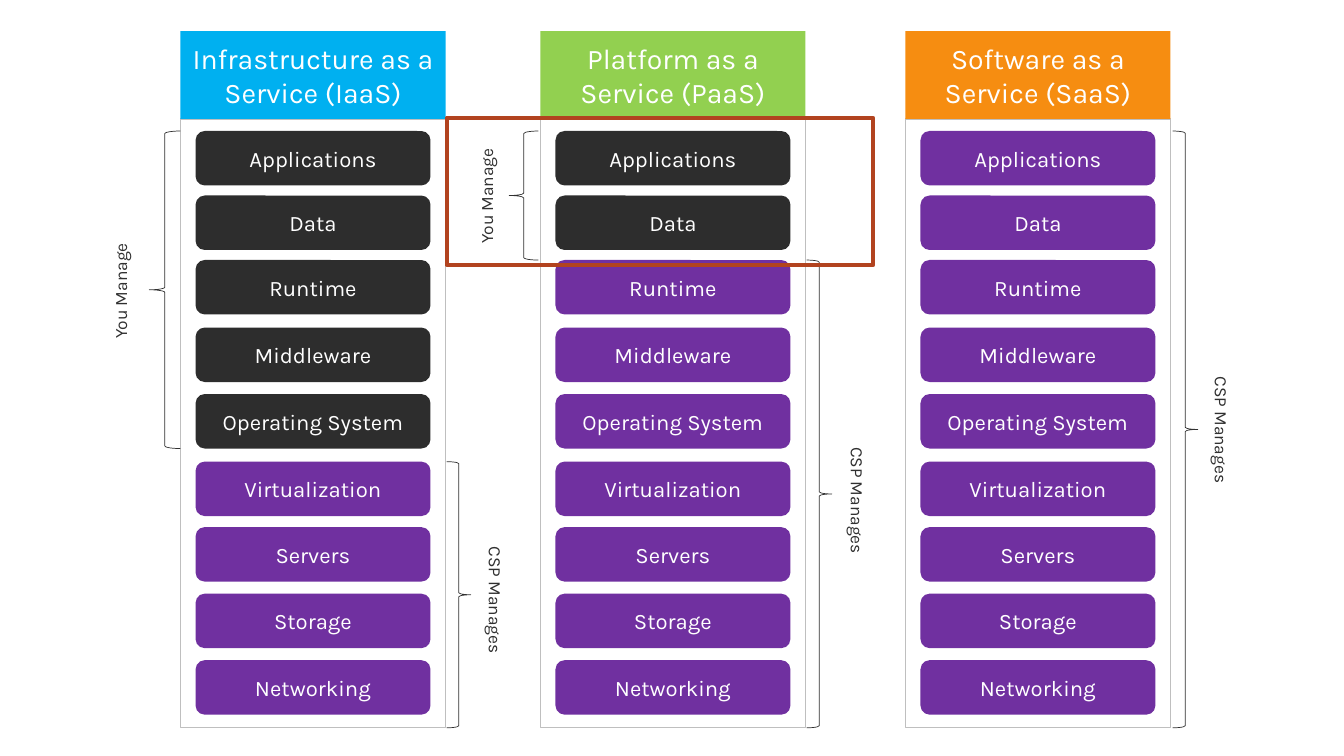
from pptx import Presentation
from pptx.dml.color import RGBColor
from pptx.enum.shapes import MSO_SHAPE
from pptx.enum.text import MSO_ANCHOR, PP_ALIGN
from pptx.util import Inches, Pt

RECT = MSO_SHAPE.RECTANGLE
ROUNDED = MSO_SHAPE.ROUNDED_RECTANGLE
BRACE = MSO_SHAPE.LEFT_BRACE
CENTER = PP_ALIGN.CENTER
TOP, MIDDLE = MSO_ANCHOR.TOP, MSO_ANCHOR.MIDDLE

FONT = "Karla"
COLORS = {
    "iaas": "00B0F0", "paas": "92D050", "saas": "F68D11",
    "customer": "2D2D2D", "provider": "7030A0",
    "white": "FFFFFF", "ink": "303030", "frame": "BFBFBF", "highlight": "B2431F",
}

COLUMN_TOP, COLUMN_W, COLUMN_H = 0.31, 2.63, 6.91
HEADER_H = 0.87
LAYER_W, LAYER_H = 2.33, 0.54
LABEL_W, LABEL_H = 0.41, 2.11

# Each layer with its distance below the top of the column
LAYERS = [
    ("Applications", 0.99), ("Data", 1.63), ("Runtime", 2.27),
    ("Middleware", 2.94), ("Operating System", 3.6), ("Virtualization", 4.27),
    ("Servers", 4.92), ("Storage", 5.58), ("Networking", 6.24),
]

# Left edge, title, header colour, number of layers the customer manages
COLUMNS = [
    (1.79, "Infrastructure as a Service (IaaS)", "iaas", 5),
    (5.36, "Platform as a Service (PaaS)", "paas", 2),
    (8.98, "Software as a Service (SaaS)", "saas", 0),
]

# Brace box, then the left and top of its label
CUSTOMER_SPANS = [
    ((1.48, 1.3, 0.31, 3.15), (1.04, 1.83)),
    ((5.05, 1.3, 0.29, 1.28), (4.67, 0.89)),
]
PROVIDER_SPANS = [
    ((4.43, 4.58, 0.24, 2.64), (4.66, 4.9)),
    ((8.0, 2.58, 0.25, 4.64), (8.25, 3.91)),
    ((11.63, 1.3, 0.25, 5.92), (11.86, 3.21)),
]


def rgb(name):
    return RGBColor.from_string(COLORS[name])


def add_box(slide, kind, box, fill=None, line=None, width=1):
    sp = slide.shapes.add_shape(kind, *map(Inches, box))
    sp.shadow.inherit = False
    if fill:
        sp.fill.solid()
        sp.fill.fore_color.rgb = rgb(fill)
    else:
        sp.fill.background()
    if line:
        sp.line.color.rgb = rgb(line)
        sp.line.width = Pt(width)
    else:
        sp.line.fill.background()
    return sp


def write(sp, text, size, color, anchor=MIDDLE):
    tf = sp.text_frame
    tf.word_wrap = True
    tf.vertical_anchor = anchor
    p = tf.paragraphs[0]
    p.alignment = CENTER
    r = p.add_run()
    r.text = text
    r.font.size = Pt(size)
    r.font.name = FONT
    r.font.color.rgb = rgb(color)


def add_column(slide, left, top, title, color, managed):
    """Draw one service model: frame, header and stack of layers."""
    add_box(slide, RECT, (left, top + HEADER_H, COLUMN_W, COLUMN_H - HEADER_H),
            line="frame")
    header = add_box(slide, RECT, (left, top, COLUMN_W, HEADER_H), fill=color)
    write(header, title, 20.3, "white")
    layer_left = left + (COLUMN_W - LAYER_W) / 2
    for i, (name, offset) in enumerate(LAYERS):
        owner = "customer" if i < managed else "provider"
        layer = add_box(slide, ROUNDED,
                        (layer_left, top + offset, LAYER_W, LAYER_H), fill=owner)
        write(layer, name, 15.8, "white")


def add_span(slide, box, label_at, text, rotation):
    """Draw a brace and the sideways label that names who manages it."""
    brace = add_box(slide, BRACE, box, line="ink", width=0.5)
    brace.rotation = rotation
    label = slide.shapes.add_textbox(*map(Inches, (*label_at, LABEL_W, LABEL_H)))
    label.rotation = rotation
    write(label, text, 12.4, "ink", TOP)
    label.text_frame._txBody.bodyPr.set("vert", "vert270")


def main():
    prs = Presentation()
    prs.slide_width, prs.slide_height = Inches(13.33), Inches(7.5)
    slide = prs.slides.add_slide(prs.slide_layouts[6])
    for left, title, color, managed in COLUMNS:
        add_column(slide, left, COLUMN_TOP, title, color, managed)
    for box, label_at in CUSTOMER_SPANS:
        add_span(slide, box, label_at, "You Manage", 0)
    for box, label_at in PROVIDER_SPANS:
        add_span(slide, box, label_at, "CSP Manages", 180)
    add_box(slide, RECT, (4.43, 1.17, 4.23, 1.46), line="highlight", width=3)
    prs.save("out.pptx")


if __name__ == "__main__":
    main()
